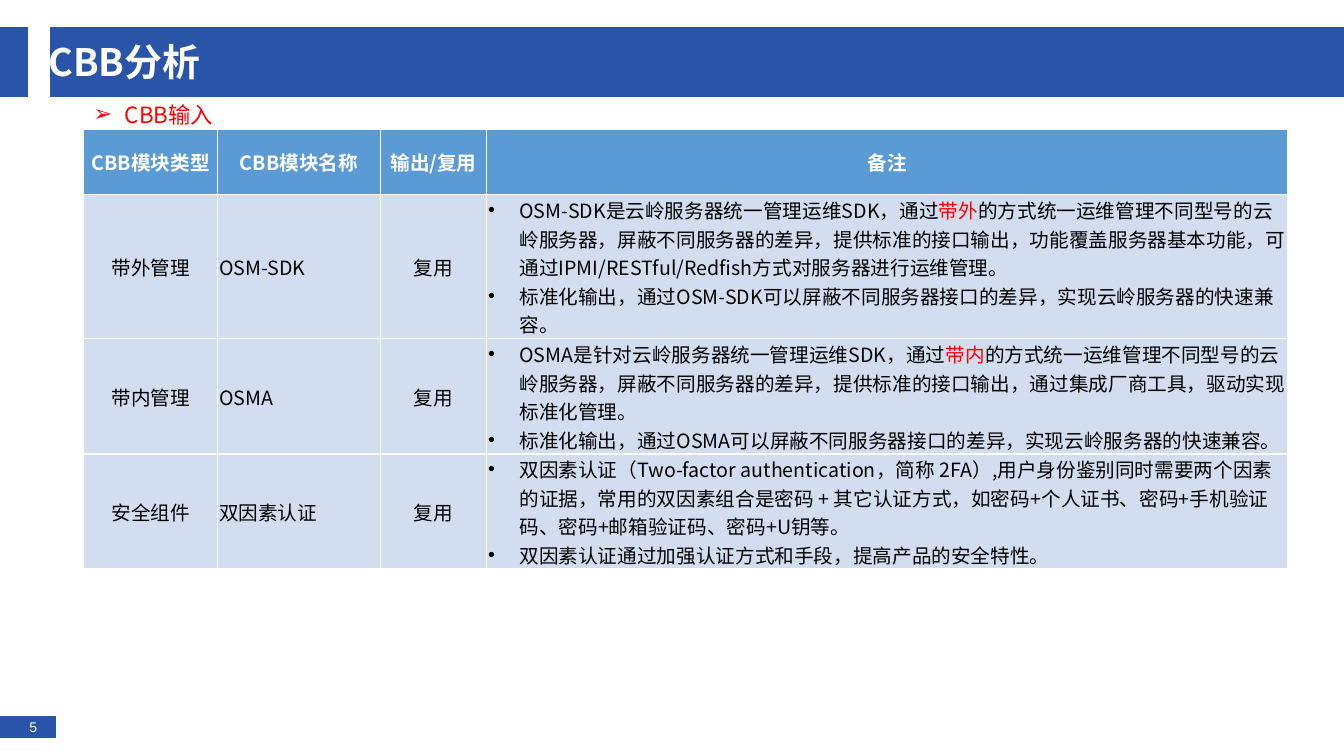
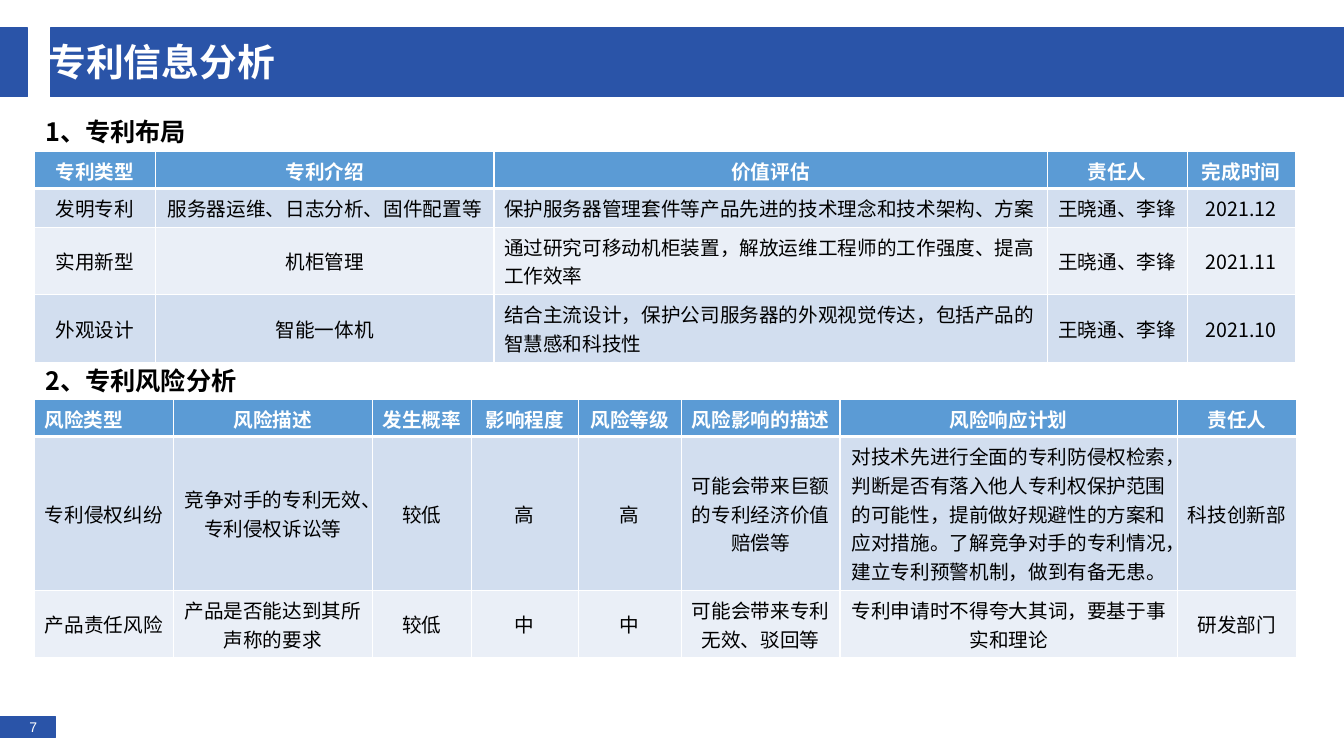
"""Build two slides on building-block analysis and patent information."""
from lxml import etree
from pptx import Presentation
from pptx.dml.color import RGBColor
from pptx.enum import shapes, text
from pptx.oxml import ns
from pptx.util import Cm, Pt

BLUE = RGBColor(0x2A, 0x54, 0xA8)
HEAD = RGBColor(0x5B, 0x9B, 0xD5)
BANDS = RGBColor(0xD2, 0xDE, 0xEF), RGBColor(0xEA, 0xEF, 0xF7)
WHITE = RGBColor(0xFF, 0xFF, 0xFF)
BLACK = RGBColor(0, 0, 0)
RED = RGBColor(0xFF, 0, 0)
FONT = "Noto Sans CJK SC"
ALIGN = {"c": text.PP_ALIGN.CENTER, "l": text.PP_ALIGN.LEFT, "b": text.PP_ALIGN.LEFT}


class Deck:
    def __init__(self):
        self.prs = Presentation()
        self.prs.slide_width, self.prs.slide_height = Cm(33.87), Cm(19.05)
        self.s = None

    def slide(self, title, number):
        self.s = self.prs.slides.add_slide(self.prs.slide_layouts[6])
        self.bar(0, 18.06, 1.4, 0.53)
        self.bar(1.27, 0.71, 32.6, 1.73)
        self.bar(0, 0.71, 0.69, 1.73)
        sp = self.bar(0.28, 18.11, 1.12, 0.43)
        tf = sp.text_frame
        tf.margin_top = tf.margin_bottom = 0
        tf.word_wrap = False
        self.set_text(tf, str(number), 10, WHITE, "c", font="Arial")
        self.label(title, 0.97, 0.74, 23.2, 1.6, 27, WHITE, bold=True)

    def bar(self, x, y, w, h):
        sp = self.s.shapes.add_shape(shapes.MSO_SHAPE.RECTANGLE, Cm(x), Cm(y), Cm(w), Cm(h))
        sp.shadow.inherit = False
        sp.fill.solid()
        sp.fill.fore_color.rgb = BLUE
        sp.line.color.rgb = BLUE
        sp.line.width = Pt(1)
        return sp

    def label(self, words, x, y, w, h, size, color, bold=False, bullet=None):
        tf = self.s.shapes.add_textbox(Cm(x), Cm(y), Cm(w), Cm(h)).text_frame
        tf.word_wrap = True
        tf.vertical_anchor = text.MSO_ANCHOR.MIDDLE
        self.set_text(tf, words, size, color, "l", bold, bullet)

    def set_text(self, tf, words, size, color, align, bold=False, bullet=None, font=FONT):
        for i, line in enumerate(words.split("\n")):
            p = tf.add_paragraph() if i else tf.paragraphs[0]
            p.alignment = ALIGN[align]
            p.font.size, p.font.bold, p.font.name = Pt(size), bold, font
            p.font.color.rgb = color
            pPr = p._p.get_or_add_pPr()
            default = pPr.find(ns.qn("a:defRPr"))
            etree.SubElement(default, ns.qn("a:ea"), typeface=font)
            if bullet:
                pPr.set("marL", str(Cm(0.79)))
                pPr.set("indent", str(-Cm(0.79)))
                default.addprevious(pPr.makeelement(ns.qn("a:buFont"), typeface="Arial"))
                default.addprevious(pPr.makeelement(ns.qn("a:buChar"), char=bullet))
            for j, part in enumerate(line.split("*")):
                r = p.add_run()
                r.text = part
                if j % 2:
                    r.font.color.rgb = RED

    def borders(self, cell, top, bottom):
        tcPr = cell._tc.get_or_add_tcPr()
        for side, width in zip("LRTB", (1, 1, top, bottom)):
            ln = etree.SubElement(tcPr, ns.qn(f"a:ln{side}"), w=str(Pt(width)))
            fill = etree.SubElement(ln, ns.qn("a:solidFill"))
            etree.SubElement(fill, ns.qn("a:srgbClr"), val=str(WHITE))

    def table(self, x, y, widths, heights, aligns, rows, head_aligns=None,
              tight=False, banded=True, rule=1, head_rule=3):
        t = self.s.shapes.add_table(len(rows), len(widths), Cm(x), Cm(y),
                                    Cm(sum(widths)), Cm(sum(heights))).table
        for column, width in zip(t.columns, widths):
            column.width = Cm(width)
        for i, (row, height) in enumerate(zip(rows, heights)):
            t.rows[i].height = Cm(height)
            kinds = aligns if i else head_aligns or "c" * len(widths)
            top = (1, head_rule)[i] if i < 2 else rule
            for j, (words, kind) in enumerate(zip(row, kinds)):
                cell = t.cell(i, j)
                self.borders(cell, top, rule if i else head_rule)
                cell.fill.solid()
                cell.fill.fore_color.rgb = BANDS[(i - 1) % 2 if banded else 0] if i else HEAD
                cell.vertical_anchor = text.MSO_ANCHOR.MIDDLE
                if tight:
                    cell.margin_left = cell.margin_right = cell.margin_top = Cm(0.03)
                    cell.margin_bottom = 0
                self.set_text(cell.text_frame, words, 14, BLACK if i else WHITE, kind,
                              not i, "•" if kind == "b" else None)


def main():
    deck = Deck()
    deck.slide("CBB分析", 5)
    deck.table(2.11, 3.25, (3.38, 4.09, 2.69, 20.19), (1.65, 3.63, 2.9, 2.9), "clcb", (
        ("CBB模块类型", "CBB模块名称", "输出/复用", "备注"),
        ("带外管理", "OSM-SDK", "复用",
         "OSM-SDK是云岭服务器统一管理运维SDK，通过*带外*的方式统一运维管理不同型号的云岭服务器，"
         "屏蔽不同服务器的差异，提供标准的接口输出，功能覆盖服务器基本功能，"
         "可通过IPMI/RESTful/Redfish方式对服务器进行运维管理。\n"
         "标准化输出，通过OSM-SDK可以屏蔽不同服务器接口的差异，实现云岭服务器的快速兼容。"),
        ("带内管理", "OSMA", "复用",
         "OSMA是针对云岭服务器统一管理运维SDK，通过*带内*的方式统一运维管理不同型号的云岭服务器，"
         "屏蔽不同服务器的差异，提供标准的接口输出，通过集成厂商工具，驱动实现标准化管理。\n"
         "标准化输出，通过OSMA可以屏蔽不同服务器接口的差异，实现云岭服务器的快速兼容。"),
        ("安全组件", "双因素认证", "复用",
         "双因素认证（Two-factor authentication，简称 2FA）,用户身份鉴别同时需要两个因素的证据，"
         "常用的双因素组合是密码 + 其它认证方式，如密码+个人证书、密码+手机验证码、"
         "密码+邮箱验证码、密码+U钥等。\n"
         "双因素认证通过加强认证方式和手段，提高产品的安全特性。"),
    ), tight=True, banded=False, rule=1.5, head_rule=1.5)
    deck.label("CBB输入", 2.11, 2.41, 9.58, 0.94, 16, RED, bullet="➢")

    deck.slide("专利信息分析", 7)
    owners = "王晓通、李锋"
    deck.table(0.87, 3.82, (3.05, 8.53, 13.94, 3.53, 2.72), (0.93, 0.98, 1.7, 1.7), "cclcc", (
        ("专利类型", "专利介绍", "价值评估", "责任人", "完成时间"),
        ("发明专利", "服务器运维、日志分析、固件配置等",
         "保护服务器管理套件等产品先进的技术理念和技术架构、方案", owners, "2021.12"),
        ("实用新型", "机柜管理",
         "通过研究可移动机柜装置，解放运维工程师的工作强度、提高工作效率", owners, "2021.11"),
        ("外观设计", "智能一体机",
         "结合主流设计，保护公司服务器的外观视觉传达，包括产品的智慧感和科技性", owners, "2021.10"),
    ))
    for heading, y in (("1、专利布局", 2.51), ("2、专利风险分析", 8.79)):
        deck.label(heading, 0.89, y, 27.6, 1.6, 18, BLACK, bold=True)
    deck.table(0.87, 10.07, (3.5, 5.01, 2.5, 2.69, 2.6, 4, 8.5, 3), (0.93, 3.88, 1.7), "c" * 8, (
        ("风险类型", "风险描述", "发生概率", "影响程度", "风险等级", "风险影响的描述",
         "风险响应计划", "责任人"),
        ("专利侵权纠纷", "竞争对手的专利无效、专利侵权诉讼等", "较低", "高", "高",
         "可能会带来巨额的专利经济价值赔偿等",
         "对技术先进行全面的专利防侵权检索，判断是否有落入他人专利权保护范围的可能性，"
         "提前做好规避性的方案和应对措施。了解竞争对手的专利情况，建立专利预警机制，做到有备无患。",
         "科技创新部"),
        ("产品责任风险", "产品是否能达到其所声称的要求", "较低", "中", "中",
         "可能会带来专利无效、驳回等", "专利申请时不得夸大其词，要基于事实和理论", "研发部门"),
    ), head_aligns="lccccccc")
    deck.prs.save("out.pptx")


if __name__ == "__main__":
    main()
